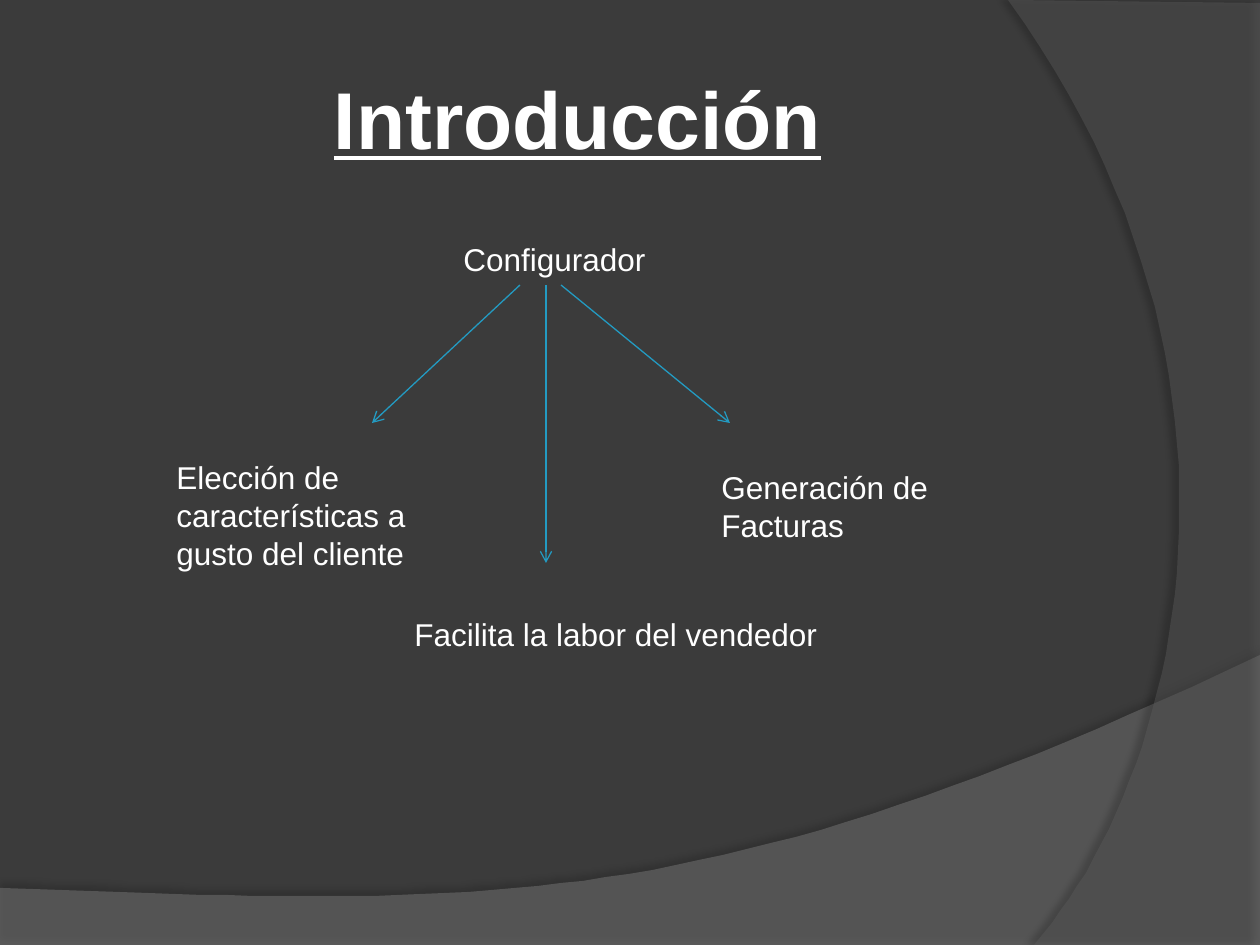
import pptx
import pptx.util
import pptx.dml.color
import pptx.enum.shapes
import pptx.enum.text
import pptx.oxml
import pptx.oxml.ns
from dataclasses import dataclass

EMU_PER_PX = 914400 / 126
CURVE_STEPS = 48


@dataclass(frozen=True)
class Theme:
    font: str = "Arial"
    background: str = "3B3B3B"
    text: str = "FFFFFF"
    arrow: str = "239BC2"
    lower_swoosh: str = "7F7F7F"
    side_swoosh: str = "5E5E5E"
    shadow: str = "000000"
    title_size: int = 46
    body_size: int = 18
    arrow_width: float = 0.75


THEME = Theme()


def px(n):
    return pptx.util.Emu(round(n * EMU_PER_PX))


def rgb(value):
    return pptx.dml.color.RGBColor.from_string(value)


def xml(tag, attributes="", inner=""):
    namespace = pptx.oxml.ns.nsdecls("a")
    return pptx.oxml.parse_xml(f"<a:{tag} {namespace} {attributes}>{inner}</a:{tag}>")


def write(tf, text, size=THEME.body_size, color=THEME.text, bold=False,
          underline=False, align=pptx.enum.text.PP_ALIGN.LEFT):
    p = tf.paragraphs[0]
    p.alignment = align
    r = p.add_run()
    r.text = text
    r.font.name = THEME.font
    r.font.size = pptx.util.Pt(size)
    r.font.color.rgb = rgb(color)
    r.font.bold = bold
    r.font.underline = underline


def bezier(start, control1, control2, end):
    points = []
    for step in range(1, CURVE_STEPS + 1):
        t = step / CURVE_STEPS
        weights = ((1 - t) ** 3, 3 * t * (1 - t) ** 2, 3 * t ** 2 * (1 - t), t ** 3)
        points.append(tuple(
            sum(w * c for w, c in zip(weights, axis))
            for axis in zip(start, control1, control2, end)))
    return points


def add_swoosh(s, points, color, opacity, shadow_opacity, distance, direction):
    builder = s.shapes.build_freeform(*points[0], scale=EMU_PER_PX)
    builder.add_line_segments(points[1:], close=True)
    sp = builder.convert_to_shape()
    sp.fill.solid()
    sp.fill.fore_color.rgb = rgb(color)
    sp.line.fill.background()
    properties = sp._element.spPr
    fill_color = properties.find(".//" + pptx.oxml.ns.qn("a:srgbClr"))
    fill_color.append(xml("alpha", f'val="{opacity * 1000}"'))
    properties.append(xml("effectLst", inner=(
        f'<a:outerShdw blurRad="{pptx.util.Pt(4)}" dist="{pptx.util.Pt(distance)}" '
        f'dir="{direction * 60000}" algn="ctr" rotWithShape="0">'
        f'<a:srgbClr val="{THEME.shadow}"><a:alpha val="{shadow_opacity * 1000}"/>'
        '</a:srgbClr></a:outerShdw>')))


def add_title(s, text, left, top, width, height):
    sp = s.shapes.title
    sp.left, sp.top, sp.width, sp.height = map(px, (left, top, width, height))
    tf = sp.text_frame
    tf.auto_size = pptx.enum.text.MSO_AUTO_SIZE.NONE
    tf.vertical_anchor = pptx.enum.text.MSO_ANCHOR.MIDDLE
    tf.margin_left = tf.margin_right = pptx.util.Inches(0.05)
    tf.margin_top = tf.margin_bottom = pptx.util.Inches(0.05)
    write(tf, text, size=THEME.title_size, bold=True, underline=True,
          align=pptx.enum.text.PP_ALIGN.CENTER)
    s.shapes._spTree.append(sp._element)


def add_label(s, text, left, top, width, height):
    sp = s.shapes.add_textbox(*map(px, (left, top, width, height)))
    tf = sp.text_frame
    tf.word_wrap = True
    tf.auto_size = pptx.enum.text.MSO_AUTO_SIZE.SHAPE_TO_FIT_TEXT
    write(tf, text)


def add_arrow(s, start, end):
    line = s.shapes.add_connector(
        pptx.enum.shapes.MSO_CONNECTOR.STRAIGHT, *map(px, start + end))
    line.line.color.rgb = rgb(THEME.arrow)
    line.line.width = pptx.util.Pt(THEME.arrow_width)
    line.line._get_or_add_ln().append(xml("tailEnd", 'type="arrow"'))
    line._element.spPr.append(xml("effectLst"))


def main():
    prs = pptx.Presentation()
    prs.slide_width, prs.slide_height = px(1260), px(945)
    s = prs.slides.add_slide(prs.slide_layouts[5])
    s.background.fill.solid()
    s.background.fill.fore_color.rgb = rgb(THEME.background)

    lower = [(0, 888), (0, 946), (1260, 946), (1260, 655)]
    lower += bezier(lower[-1], (704, 919), (493, 906), lower[0])
    add_swoosh(s, lower, THEME.lower_swoosh, 45, 35, 3.5, 270)
    side = [(1260, 3), (1260, 945), (1034, 945)]
    side += bezier(side[-1], (1178, 780), (1283, 378), (1008, 0))
    add_swoosh(s, side, THEME.side_swoosh, 40, 45, 4, 180)

    add_title(s, "Introducción", 63, 38, 1029, 158)
    add_label(s, "Configurador", 451, 234, 218, 50)
    add_label(s, "Generación de Facturas", 709, 462, 248, 89)
    add_label(s, "Elección de características a gusto del cliente", 164, 452, 328, 127)
    add_label(s, "Facilita la labor del vendedor", 402, 609, 863, 50)

    arrow_top = 285
    for start_x, end in ((520, (372, 423)), (561, (730, 423)), (546, (546, 563))):
        add_arrow(s, (start_x, arrow_top), end)

    prs.save("out.pptx")


if __name__ == "__main__":
    main()
